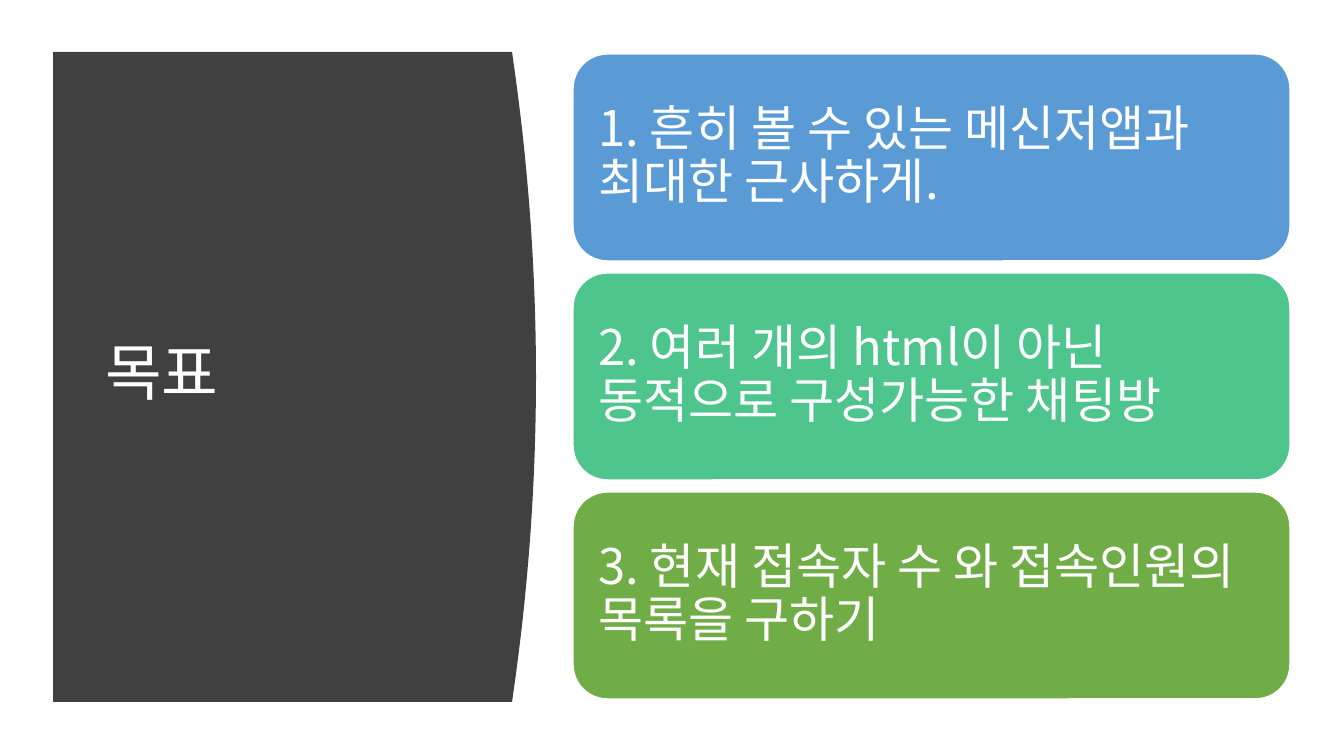
from pptx import Presentation
from pptx.dml.color import RGBColor
from pptx.enum.shapes import MSO_SHAPE
from pptx.enum.text import MSO_ANCHOR, MSO_AUTO_SIZE, PP_ALIGN
from pptx.util import Emu, Pt

PX = 914400 / 100.8
FONT = "Noto Sans CJK KR"
WHITE = RGBColor(0xFF, 0xFF, 0xFF)
DARK = RGBColor(0x40, 0x40, 0x40)
BLUE = RGBColor(0x5B, 0x9B, 0xD5)
MINT = RGBColor(0x4D, 0xC5, 0x8D)
GREEN = RGBColor(0x70, 0xAD, 0x47)

CARDS = [
    (BLUE, "1. 흔히 볼 수 있는 메신저앱과 최대한 근사하게."),
    (MINT, "2. 여러 개의 html이 아닌 동적으로 구성가능한 채팅방"),
    (GREEN, "3. 현재 접속자 수 와 접속인원의 목록을 구하기"),
]


def px(num):
    """Turn pixels into EMU."""
    return Emu(round(num * PX))


def write(frame, text, size):
    """Put one white, left-aligned run in the middle of a frame."""
    frame.word_wrap = True
    frame.auto_size = MSO_AUTO_SIZE.NONE
    frame.vertical_anchor = MSO_ANCHOR.MIDDLE
    para = frame.paragraphs[0]
    para.alignment = PP_ALIGN.LEFT
    para.line_spacing = 0.9
    run = para.add_run()
    run.text = text
    run.font.size = Pt(size)
    run.font.name = FONT
    run.font.color.rgb = WHITE
    return para


def add_panel(slide, left, top, width, height, bulge):
    """Draw the dark panel whose right side bows outward."""
    steps = 26
    edge = []
    for step in range(steps + 1):
        part = step / steps
        bow = bulge * 4 * part * (1 - part)
        edge.append((px(left + width + bow), px(top + height * part)))
    form = slide.shapes.build_freeform(px(left), px(top), scale=1.0)
    form.add_line_segments(edge + [(px(left), px(top + height))], close=True)
    panel = form.convert_to_shape()
    panel.shadow.inherit = False
    panel.fill.solid()
    panel.fill.fore_color.rgb = DARK
    panel.line.fill.background()


def add_title(slide, text):
    """Place the title over the panel."""
    title = slide.shapes.title
    title.left, title.top = px(95), px(112)
    title.width, title.height = px(377), px(528)
    write(title.text_frame, text, 44)
    tree = slide.shapes._spTree
    tree.remove(title._element)
    tree.append(title._element)


def add_card(slide, top, fill, text):
    """Draw one rounded goal card with its text."""
    card = slide.shapes.add_shape(
        MSO_SHAPE.ROUNDED_RECTANGLE, px(573), px(top), px(717), px(207))
    card.shadow.inherit = False
    card.fill.solid()
    card.fill.fore_color.rgb = fill
    card.line.color.rgb = WHITE
    card.line.width = Pt(1)
    frame = card.text_frame
    frame.margin_left = frame.margin_right = px(15)
    frame.margin_top = frame.margin_bottom = px(15)
    write(frame, text, 35).space_after = Pt(12)


def main():
    """Build and save the slide."""
    deck = Presentation()
    deck.slide_width, deck.slide_height = px(1344), px(756)
    slide = deck.slides.add_slide(deck.slide_layouts[5])
    add_panel(slide, 53, 52, 459, 650, 24)
    add_title(slide, "목표")
    for row, (fill, text) in enumerate(CARDS):
        add_card(slide, 54 + 219 * row, fill, text)
    deck.save("out.pptx")


if __name__ == "__main__":
    main()
